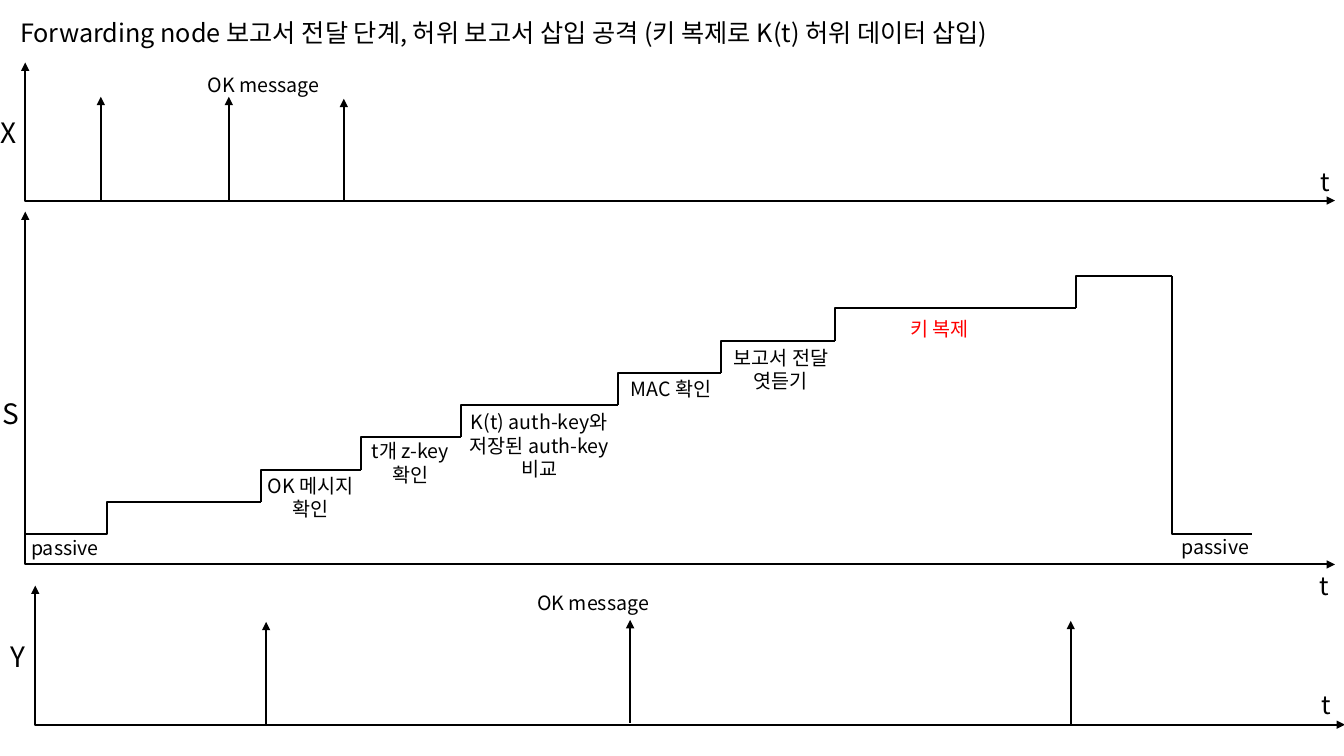
"""Build the timing diagram of a forwarding node under a false report injection attack."""
from itertools import pairwise

from pptx import Presentation
from pptx.dml.color import RGBColor
from pptx.enum.shapes import MSO_CONNECTOR as Route
from pptx.enum.text import MSO_ANCHOR as Anchor, PP_ALIGN as Align
from pptx.oxml.ns import qn
from pptx.util import Inches, Pt
from lxml.etree import SubElement

BLACK = RGBColor(0x00, 0x00, 0x00)
RED = RGBColor(0xFF, 0x00, 0x00)
FONT = "Noto Sans CJK KR"

TITLE = "Forwarding node 보고서 전달 단계, 허위 보고서 삽입 공격 (키 복제로 K(t) 허위 데이터 삽입)"
TITLE_BOX = (0.1, 0.12, 13.36, 0.4)

AXES = [
    ("X", (-0.09, 1.1), (13, 1.6), (0.25, 0.62), 1.37),
    ("S", (-0.07, 3.88), (12.99, 5.61), (0.25, 2.1), 3.5),
    ("Y", (0.01, 6.3), (13.01, 6.79), (0.35, 5.81), 1.38),
]
AXIS_LENGTH = 12.99

PULSES = [(1, 1.98), (2.27, 1.98), (3.41, 2), (2.64, 7.19), (6.25, 7.17), (10.62, 7.18)]
PULSE_HEIGHT = 1.02

STEP_EDGES = [0.24, 2.59, 3.58, 4.57, 6.13, 7.15, 8.28, 10.67, 11.62]
PASSIVE_LEVEL = 5.3
STEP_RISE = 0.32
FIRST_BEND = 0.348
PASSIVE_END = 12.42

LABELS = [
    (["OK message"], (1.96, 0.67, 1.35, 0.34), Align.LEFT, BLACK),
    (["OK message"], (5.23, 5.81, 1.35, 0.34), Align.LEFT, BLACK),
    (["passive"], (0.21, 5.27, 1.25, 0.34), Align.LEFT, BLACK),
    (["passive"], (11.62, 5.26, 1.25, 0.34), Align.LEFT, BLACK),
    (["OK 메시지", "확인"], (2.24, 4.65, 1.68, 0.57), Align.CENTER, BLACK),
    (["t개 z-key", "확인"], (3.23, 4.31, 1.68, 0.57), Align.CENTER, BLACK),
    (["K(t) auth-key와", "저장된 auth-key", "비교"], (3.87, 4.02, 2.96, 0.81), Align.CENTER, BLACK),
    (["MAC 확인"], (6.16, 3.69, 1.09, 0.34), Align.LEFT, BLACK),
    (["보고서 전달", "엿듣기"], (7.12, 3.38, 1.25, 0.57), Align.CENTER, BLACK),
    (["키 복제"], (8.93, 3.09, 2.96, 0.34), Align.LEFT, RED),
]


def write(box, lines, size=14, color=BLACK, align=Align.LEFT):
    """Fill a box with formatted lines, one paragraph each."""
    frame = box.text_frame
    frame.word_wrap = True
    frame.vertical_anchor = Anchor.TOP
    for index, line in enumerate(lines):
        paragraph = frame.add_paragraph() if index else frame.paragraphs[0]
        paragraph.alignment = align
        run = paragraph.add_run()
        run.text = line
        run.font.size = Pt(size)
        run.font.name = FONT
        run.font.color.rgb = color
        SubElement(run.font._element, qn("a:ea"), typeface=FONT)


def add_label(slide, lines, place, **style):
    """Add a text box at the given place."""
    write(slide.shapes.add_textbox(*map(Inches, place)), lines, **style)


def connect(slide, start, end, bend=None, arrows=()):
    """Draw a straight line, or an elbow that turns at the share bend of its width."""
    route = Route.STRAIGHT if bend is None else Route.ELBOW
    line = slide.shapes.add_connector(route, *map(Inches, (*start, *end)))
    line.line.color.rgb = BLACK
    line.line.width = Pt(1.5)
    properties = line._element.spPr
    for arrow in arrows:
        SubElement(properties.find(qn("a:ln")), qn(f"a:{arrow}"), type="triangle")
    SubElement(properties, qn("a:effectLst"))
    if bend is not None:
        adjustments = properties.find(qn("a:prstGeom")).find(qn("a:avLst"))
        SubElement(adjustments, qn("a:gd"), name="adj1", fmla=f"val {round(bend * 100000)}")


def main():
    """Lay out the slide and save it."""
    deck = Presentation()
    deck.slide_width, deck.slide_height = Inches(13.33), Inches(7.5)
    slide = deck.slides.add_slide(deck.slide_layouts[5])

    title = slide.shapes.title
    title.left, title.top, title.width, title.height = map(Inches, TITLE_BOX)
    write(title, [TITLE], size=18)

    for name, name_at, time_at, (left, top), height in AXES:
        connect(slide, (left, top), (left + AXIS_LENGTH, top + height), bend=0,
                arrows=("headEnd", "tailEnd"))
        add_label(slide, [name], (*name_at, 0.45, 0.44), size=20)
        add_label(slide, ["t"], (*time_at, 0.45, 0.4), size=18)

    for x, base in PULSES:
        connect(slide, (x, base), (x, base - PULSE_HEIGHT), arrows=("tailEnd",))

    stairs = [(x, PASSIVE_LEVEL - STEP_RISE * i) for i, x in enumerate(STEP_EDGES)]
    for index, (start, end) in enumerate(pairwise(stairs)):
        connect(slide, start, end, bend=0 if index else FIRST_BEND)
    connect(slide, stairs[-1], (PASSIVE_END, PASSIVE_LEVEL), bend=0)

    for lines, place, align, color in LABELS:
        add_label(slide, lines, place, align=align, color=color)

    deck.save("out.pptx")


if __name__ == "__main__":
    main()
